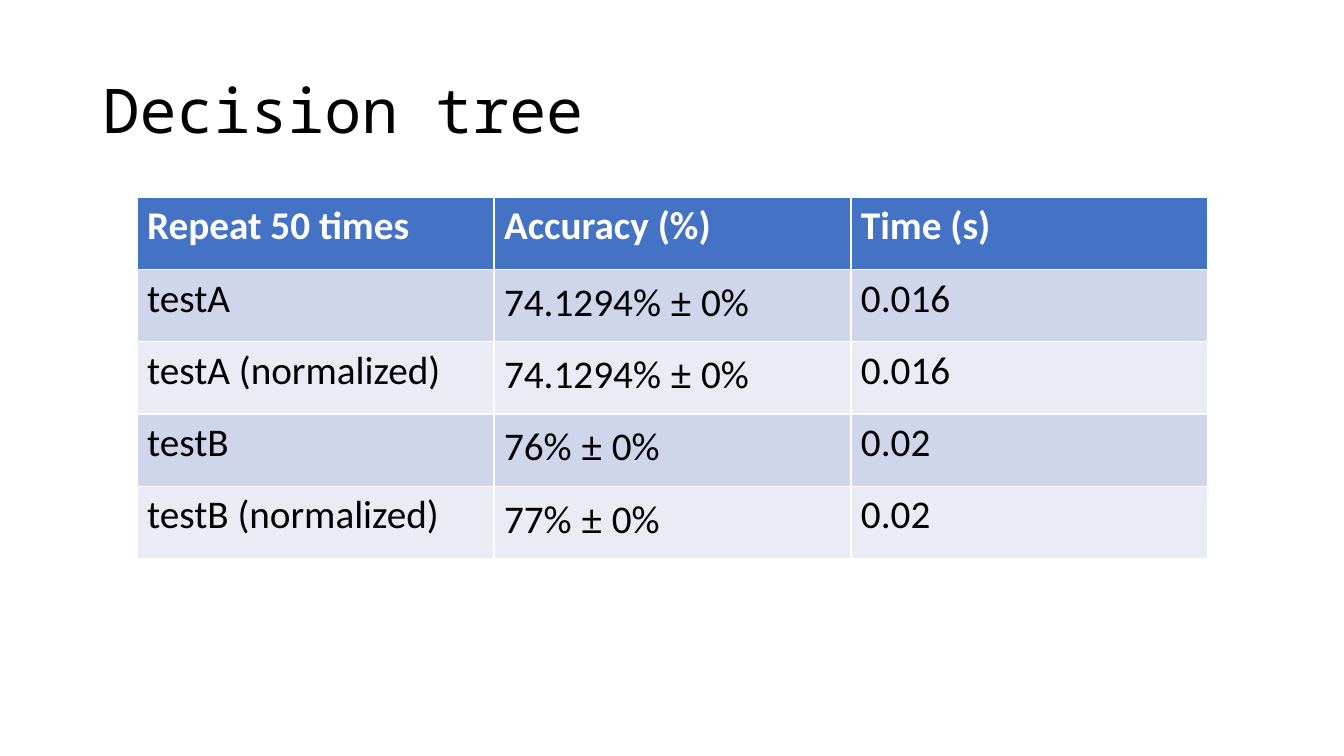
from pptx import Presentation
from pptx.dml.color import RGBColor
from pptx.enum.text import MSO_ANCHOR
from pptx.util import Inches, Pt

COLORS = {
    "text": "000000",
    "header_text": "FFFFFF",
    "header": "4472C4",
    "odd_row": "CFD5EA",
    "even_row": "E9EBF5",
}
ROWS = [
    ["Repeat 50 times", "Accuracy (%)", "Time (s)"],
    ["testA", "74.1294% ± 0%", "0.016"],
    ["testA (normalized)", "74.1294% ± 0%", "0.016"],
    ["testB", "76% ± 0%", "0.02"],
    ["testB (normalized)", "77% ± 0%", "0.02"],
]


def add_text(para, text, font="Calibri", size=28, color="text", bold=False):
    span = para.add_run()
    span.text = text
    span.font.name = font
    span.font.size = Pt(size)
    span.font.bold = bold
    span.font.color.rgb = RGBColor.from_string(COLORS[color])


deck = Presentation()
deck.slide_width, deck.slide_height = Inches(13.33), Inches(7.5)
page = deck.slides.add_slide(deck.slide_layouts[6])

# Title
box = page.shapes.add_textbox(Inches(0.92), Inches(0.4), Inches(11.5), Inches(1.45))
box.text_frame.word_wrap = True
box.text_frame.vertical_anchor = MSO_ANCHOR.MIDDLE
title = box.text_frame.paragraphs[0]
title.line_spacing = 0.9
add_text(title, "Decision tree", font="Noto Sans Mono", size=44)

# Results table; the default table style supplies the white cell borders
table = page.shapes.add_table(
    len(ROWS), len(ROWS[0]), Inches(1.36), Inches(1.96), Inches(10.62), Inches(3.58)
).table
for row_index, values in enumerate(ROWS):
    is_header = row_index == 0
    fill = "header" if is_header else "odd_row" if row_index % 2 else "even_row"
    for column_index, value in enumerate(values):
        cell = table.cell(row_index, column_index)
        cell.fill.solid()
        cell.fill.fore_color.rgb = RGBColor.from_string(COLORS[fill])
        para = cell.text_frame.paragraphs[0]
        before, sign, after = value.partition("±")
        for text in filter(None, (before, sign, after)):
            add_text(
                para,
                text,
                font="Open Sans" if text == "±" else "Calibri",
                color="header_text" if is_header else "text",
                bold=is_header,
            )

deck.save("out.pptx")
